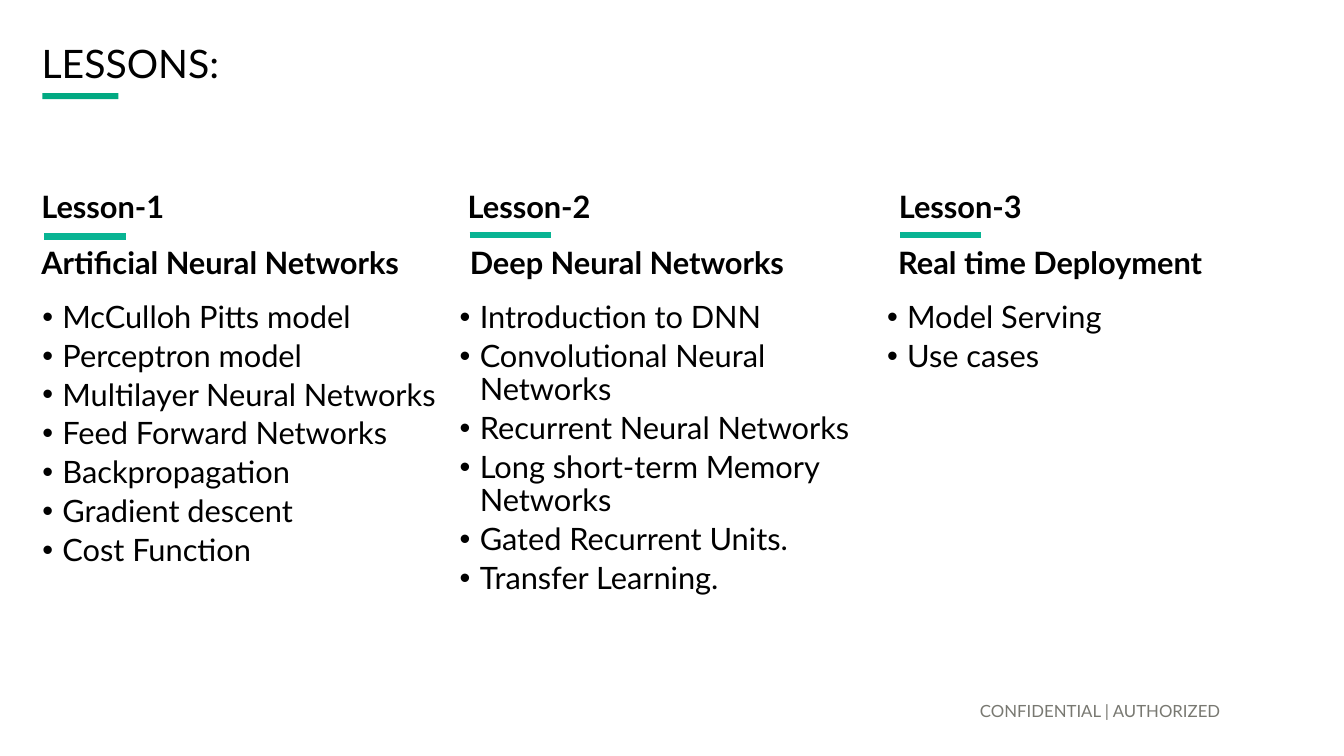
from dataclasses import dataclass

from lxml import etree
from pptx import Presentation
from pptx.dml.color import RGBColor
from pptx.enum.shapes import MSO_CONNECTOR, MSO_SHAPE
from pptx.enum.text import MSO_ANCHOR, MSO_AUTO_SIZE, PP_ALIGN
from pptx.oxml.ns import qn
from pptx.util import Pt

LEFT, RIGHT = PP_ALIGN.LEFT, PP_ALIGN.RIGHT
TOP, MIDDLE, BOTTOM = MSO_ANCHOR.TOP, MSO_ANCHOR.MIDDLE, MSO_ANCHOR.BOTTOM
NO_AUTOFIT = MSO_AUTO_SIZE.NONE
RECTANGLE, STRAIGHT = MSO_SHAPE.RECTANGLE, MSO_CONNECTOR.STRAIGHT


@dataclass(frozen=True)
class Theme:
    font: str = "Lato"
    text: RGBColor = RGBColor(0, 0, 0)
    muted: RGBColor = RGBColor(0x78, 0x78, 0x71)
    title_bar: RGBColor = RGBColor(0x01, 0xA9, 0x82)
    accent: RGBColor = RGBColor(0x08, 0xB4, 0x93)
    title_size: float = 28
    body_size: float = 22
    footer_size: float = 12
    line_spacing: float = 0.9
    list_gap: float = 4
    list_indent: float = 14.4
    rule_width: float = 4.5


def add_bullet(paragraph, indent):
    properties = paragraph._p.get_or_add_pPr()
    properties.set("marL", str(Pt(indent)))
    properties.set("indent", str(-Pt(indent)))
    font = etree.SubElement(properties, qn("a:buFont"))
    font.set("typeface", "Arial")
    bullet = etree.SubElement(properties, qn("a:buChar"))
    bullet.set("char", "•")


def write_text(shape, lines, theme, size, color=None, bold=False, align=LEFT,
               anchor=TOP, insets=(7.2, 7.2), bulleted=False):
    frame = shape.text_frame
    frame.word_wrap = True
    frame.auto_size = NO_AUTOFIT
    frame.vertical_anchor = anchor
    frame.margin_left = frame.margin_right = Pt(insets[0])
    frame.margin_top = frame.margin_bottom = Pt(insets[1])
    for index, line in enumerate(lines):
        paragraph = frame.add_paragraph() if index else frame.paragraphs[0]
        if bulleted:
            add_bullet(paragraph, theme.list_indent)
        paragraph.alignment = align
        paragraph.line_spacing = theme.line_spacing
        paragraph.space_before = Pt(theme.list_gap if index else 0)
        run = paragraph.add_run()
        run.text = line
        run.font.name = theme.font
        run.font.size = Pt(size)
        run.font.bold = bold
        run.font.color.rgb = color or theme.text


class SlideBuilder:
    def __init__(self, slide, theme):
        self.slide = slide
        self.theme = theme

    def place(self, shape, box):
        shape.left, shape.top, shape.width, shape.height = map(Pt, box)

    def title(self, text, box):
        shape = self.slide.shapes.title
        self.place(shape, box)
        write_text(shape, [text], self.theme, self.theme.title_size, anchor=MIDDLE)

    def bullet_list(self, placeholder_index, items, box):
        shape = self.slide.placeholders[placeholder_index]
        self.place(shape, box)
        write_text(shape, items, self.theme, self.theme.body_size,
                   insets=(0, 7.2), bulleted=True)

    def text_box(self, text, box, size, **text_format):
        shape = self.slide.shapes.add_textbox(*map(Pt, box))
        write_text(shape, [text], self.theme, size, **text_format)

    def bar(self, box):
        shape = self.slide.shapes.add_shape(RECTANGLE, *map(Pt, box))
        shape.shadow.inherit = False
        shape.fill.solid()
        shape.fill.fore_color.rgb = self.theme.title_bar
        shape.line.fill.background()

    def rule(self, left, top, width):
        connector = self.slide.shapes.add_connector(
            STRAIGHT, Pt(left), Pt(top), Pt(left + width), Pt(top))
        connector.line.color.rgb = self.theme.accent
        connector.line.width = Pt(self.theme.rule_width)
        etree.SubElement(connector._element.spPr, qn("a:effectLst"))

    def remove_empty_placeholders(self):
        for placeholder in list(self.slide.placeholders):
            if not placeholder.text_frame.text:
                placeholder._element.getparent().remove(placeholder._element)


@dataclass(frozen=True)
class Lesson:
    label: str
    heading: str
    topics: tuple
    placeholder_index: int
    label_at: tuple
    rule_at: tuple
    list_left: float


LESSONS = (
    Lesson("Lesson-1", "Artificial Neural Networks",
           ("McCulloh Pitts model", "Perceptron model", "Multilayer Neural Networks",
            "Feed Forward Networks", "Backpropagation", "Gradient descent",
            "Cost Function"),
           1, (22.5, 130), (31.7, 169), 30.2),
    Lesson("Lesson-2", "Deep Neural Networks",
           ("Introduction to DNN", "Convolutional Neural Networks",
            "Recurrent Neural Networks", "Long short-term Memory Networks",
            "Gated Recurrent Units.", "Transfer Learning."),
           2, (327, 130), (335.5, 167.8), 328.3),
    Lesson("Lesson-3", "Real time Deployment", ("Model Serving", "Use cases"),
           4, (635, 130), (643, 167.8), 633.6),
)
HEADING_LEFT, COLUMN_STEP, HEADING_TOP = 22.5, 306, 169.9
HEADING_SIZE = (293.8, 30.2)
LIST_TOP, LIST_SIZE = 208.4, (285.8, 371.5)
RULE_LENGTH = 58


def main():
    theme = Theme()
    presentation = Presentation()
    presentation.slide_width, presentation.slide_height = Pt(960), Pt(540)
    slide = presentation.slides.add_slide(presentation.slide_layouts[4])
    builder = SlideBuilder(slide, theme)

    builder.title("LESSONS:", (22.5, 31, 905, 31.7))
    builder.bar((30.2, 66.6, 54.4, 4.3))
    for column, lesson in enumerate(LESSONS):
        heading_at = (HEADING_LEFT + column * COLUMN_STEP, HEADING_TOP)
        builder.text_box(lesson.label, lesson.label_at + HEADING_SIZE,
                         theme.body_size, bold=True)
        builder.rule(*lesson.rule_at, RULE_LENGTH)
        builder.text_box(lesson.heading, heading_at + HEADING_SIZE,
                         theme.body_size, bold=True)
        builder.bullet_list(lesson.placeholder_index, lesson.topics,
                            (lesson.list_left, LIST_TOP) + LIST_SIZE)
    builder.text_box("CONFIDENTIAL | AUTHORIZED ", (293, 482.4, 589, 32.4),
                     theme.footer_size, color=theme.muted, align=RIGHT,
                     anchor=BOTTOM, insets=(7.2, 0))
    builder.remove_empty_placeholders()
    presentation.save("out.pptx")


if __name__ == "__main__":
    main()
